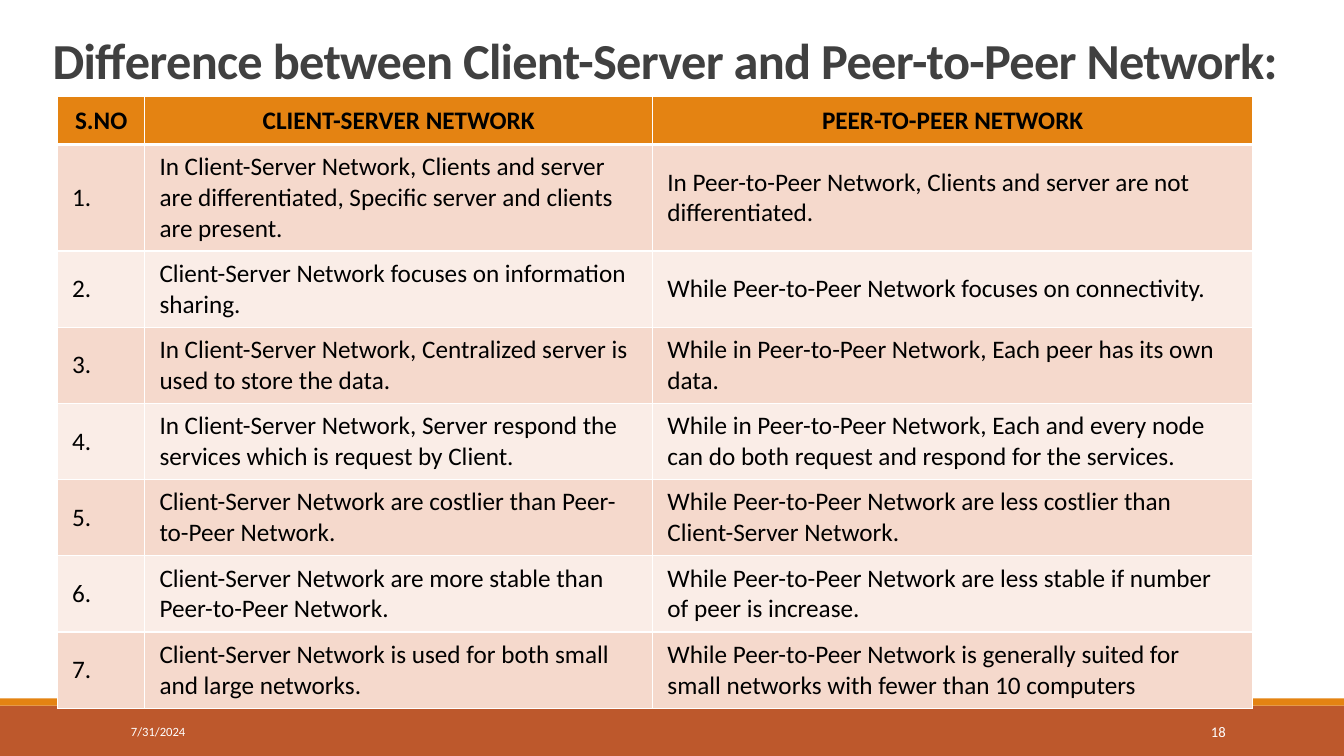
import pptx
import pptx.util
import pptx.dml.color
import pptx.enum.shapes
import pptx.enum.text
import lxml.etree
from dataclasses import dataclass

Cm, Pt = pptx.util.Cm, pptx.util.Pt
RGB = pptx.dml.color.RGBColor.from_string
ALIGN = pptx.enum.text.PP_ALIGN
MIDDLE = pptx.enum.text.MSO_ANCHOR.MIDDLE

TITLE = "Difference between Client-Server and Peer-to-Peer Network:"
HEADS = ("S.NO", "CLIENT-SERVER NETWORK", "PEER-TO-PEER NETWORK")
PAIRS = [
    ("In Client-Server Network, Clients and server are differentiated, "
     "Specific server and clients are present.",
     "In Peer-to-Peer Network, Clients and server are not differentiated."),
    ("Client-Server Network focuses on information sharing.",
     "While Peer-to-Peer Network focuses on connectivity."),
    ("In Client-Server Network, Centralized server is used to store the data.",
     "While in Peer-to-Peer Network, Each peer has its own data."),
    ("In Client-Server Network, Server respond the services which is request by Client.",
     "While in Peer-to-Peer Network, Each and every node can do both request "
     "and respond for the services."),
    ("Client-Server Network are costlier than Peer-to-Peer Network.",
     "While Peer-to-Peer Network are less costlier than Client-Server Network."),
    ("Client-Server Network are more stable than Peer-to-Peer Network.",
     "While Peer-to-Peer Network are less stable if number of peer is increase."),
    ("Client-Server Network is used for both small and large networks.",
     "While Peer-to-Peer Network is generally suited for small networks "
     "with fewer than 10 computers"),
]
DATE, PAGE = "7/31/2024", "18"
COLS = (2.2, 12.8, 15.12)
ROWS = [1.2, 2.65] + [1.92] * (len(PAIRS) - 1)


@dataclass(frozen=True)
class Theme:
    font: str = "Calibri"
    orange: str = "E48312"
    rust: str = "BD582C"
    odd: str = "F5D9CC"
    even: str = "FAEDE7"
    white: str = "FFFFFF"
    black: str = "000000"
    gray: str = "404040"
    head: float = 36
    body: float = 18
    date: float = 9
    page: float = 10.5


THEME = Theme()


def write(frame, text, size=THEME.body, color=THEME.black, bold=False,
          align=ALIGN.LEFT, anchor=MIDDLE):
    frame.word_wrap = True
    frame.vertical_anchor = anchor
    para = frame.paragraphs[0]
    para.alignment = align
    run = para.add_run()
    run.text = text
    font = run.font
    font.name, font.size, font.bold = THEME.font, Pt(size), bold
    font.color.rgb = RGB(color)
    return para


def place(shape, left, top, width, height):
    shape.left, shape.top = Cm(left), Cm(top)
    shape.width, shape.height = Cm(width), Cm(height)


def add_title(slide):
    title = slide.shapes.title
    place(title, 1.07, 0, 31.72, 2.39)
    frame = title.text_frame
    para = write(frame, TITLE, size=THEME.head, color=THEME.gray, bold=True,
                 anchor=pptx.enum.text.MSO_ANCHOR.BOTTOM)
    frame.auto_size = pptx.enum.text.MSO_AUTO_SIZE.NONE
    para.line_spacing = 0.85
    para.runs[0].font._element.set("spc", "-50")


def add_band(slide, top, height, color):
    band = slide.shapes.add_shape(
        pptx.enum.shapes.MSO_SHAPE.RECTANGLE, 0, Cm(top), Cm(33.87), Cm(height))
    band.shadow.inherit = False
    band.fill.solid()
    band.fill.fore_color.rgb = RGB(color)
    band.line.fill.background()


def add_note(slide, text, left, width, **style):
    box = slide.shapes.add_textbox(Cm(left), Cm(17.93), Cm(width), Cm(1.02))
    write(box.text_frame, text, color=THEME.white, **style)


def edge(cell, side, width):
    """Draw one white border; call before the cell gets its fill."""
    props = cell._tc.get_or_add_tcPr()
    space = pptx.oxml.ns.qn
    line = lxml.etree.SubElement(props, space("a:ln" + side), w=str(Pt(width)))
    fill = lxml.etree.SubElement(line, space("a:solidFill"))
    lxml.etree.SubElement(fill, space("a:srgbClr"), val=THEME.white)


def fill_cell(cell, text, row):
    is_head = row == 0
    for side in "LRTB":
        thick = (row, side) in ((0, "B"), (1, "T"))
        edge(cell, side, 3 if thick else 1)
    cell.fill.solid()
    color = THEME.orange if is_head else THEME.odd if row % 2 else THEME.even
    cell.fill.fore_color.rgb = RGB(color)
    cell.margin_left = cell.margin_right = Cm(0.2 if is_head else 0.37)
    cell.margin_top = cell.margin_bottom = Cm(0.2 if is_head else 0.18)
    write(cell.text_frame, text, bold=is_head,
          align=ALIGN.CENTER if is_head else ALIGN.LEFT)
    cell.vertical_anchor = MIDDLE


def add_grid(slide):
    data = [HEADS] + [(f"{n}.", *pair) for n, pair in enumerate(PAIRS, 1)]
    grid = slide.shapes.add_table(
        len(ROWS), len(COLS), Cm(1.45), Cm(2.44), Cm(sum(COLS)), Cm(sum(ROWS))).table
    for col, width in zip(grid.columns, COLS):
        col.width = Cm(width)
    for row, height in zip(grid.rows, ROWS):
        row.height = Cm(height)
    for r, line in enumerate(data):
        for c, text in enumerate(line):
            fill_cell(grid.cell(r, c), text, r)


def main():
    deck = pptx.Presentation()
    deck.slide_width, deck.slide_height = Cm(33.87), Cm(19.05)
    slide = deck.slides.add_slide(deck.slide_layouts[5])
    add_band(slide, 17.78, 1.27, THEME.rust)
    add_band(slide, 17.6, 0.18, THEME.orange)
    add_title(slide)
    add_grid(slide)
    add_note(slide, DATE, 3.05, 6.86, size=THEME.date)
    add_note(slide, PAGE, 27.51, 3.63, size=THEME.page, align=ALIGN.RIGHT)
    deck.save("out.pptx")


if __name__ == "__main__":
    main()
